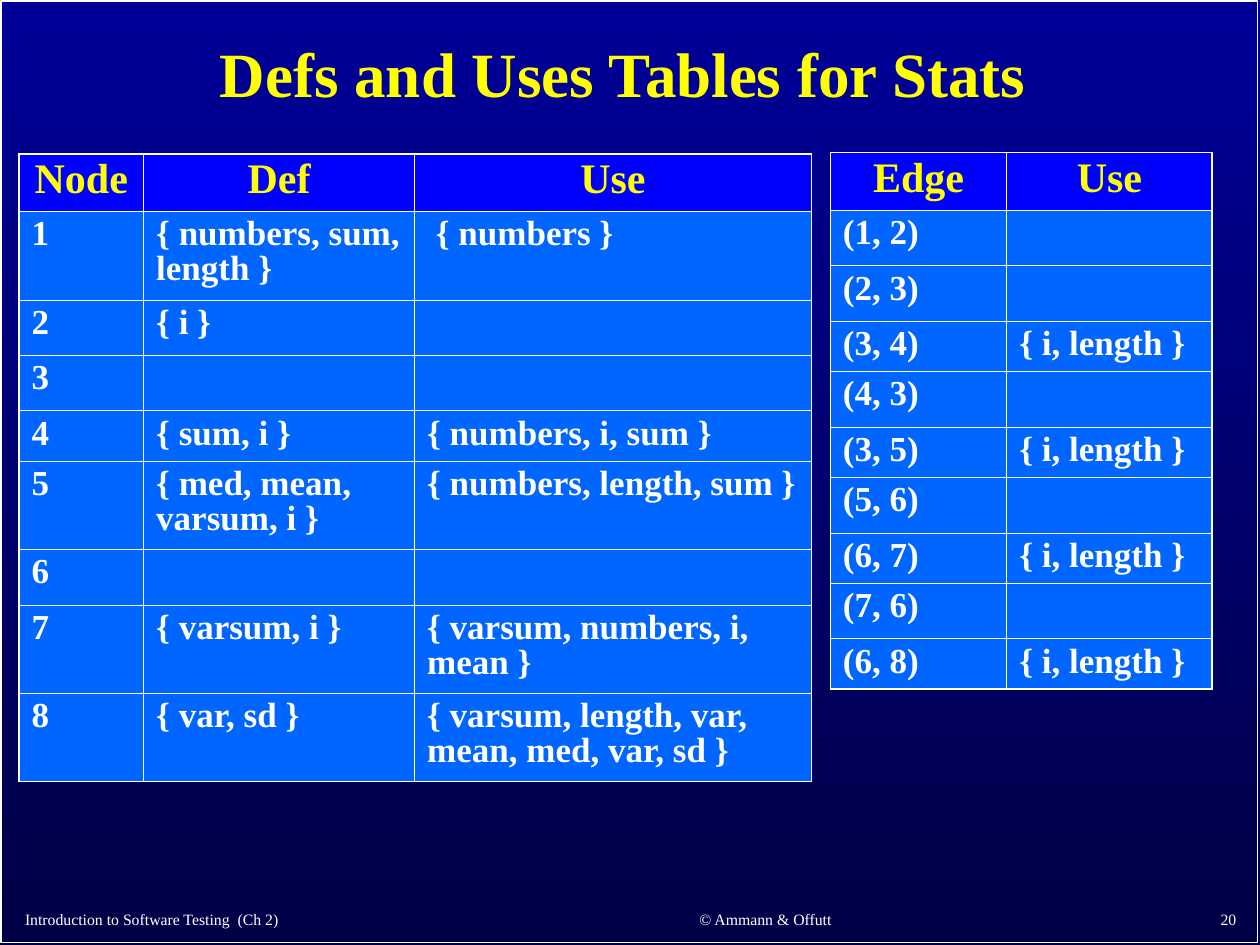
from lxml.etree import SubElement
from pptx import Presentation
from pptx.dml.color import RGBColor
from pptx.enum.shapes import MSO_SHAPE as Shape
from pptx.enum.text import MSO_ANCHOR as Anchor, MSO_AUTO_SIZE as AutoSize, PP_ALIGN as Align
from pptx.oxml.ns import qn
from pptx.util import Inches, Pt

WHITE = RGBColor(0xFF, 0xFF, 0xFF)
YELLOW = RGBColor(0xFF, 0xFF, 0x00)
HEADER_BLUE = RGBColor(0x00, 0x00, 0xFF)
CELL_BLUE = RGBColor(0x00, 0x66, 0xFF)
NIGHT_TOP = RGBColor(0x00, 0x00, 0x99)
NIGHT_BOTTOM = RGBColor(0x00, 0x00, 0x47)

TITLE = dict(size=Pt(36), bold=True, color=YELLOW)
HEADING = dict(size=Pt(24), bold=True, color=YELLOW)
ENTRY = dict(size=Pt(20), bold=True, color=WHITE)
FOOTER = dict(size=Pt(9), bold=False, color=WHITE)

NODE_ROWS = [
    ("Node", "Def", "Use"),
    ("1", "{ numbers, sum, length }", " { numbers }"),
    ("2", "{ i }", ""),
    ("3", "", ""),
    ("4", "{ sum, i }", "{ numbers, i, sum }"),
    ("5", "{ med, mean, varsum, i }", "{ numbers, length, sum }"),
    ("6", "", ""),
    ("7", "{ varsum, i }", "{ varsum, numbers, i, mean }"),
    ("8", "{ var, sd }", "{ varsum, length, var, mean, med, var, sd }"),
]
NODE_HEIGHTS = [0.46, 0.7, 0.44, 0.44, 0.4, 0.7, 0.44, 0.7, 0.7]

LOOP_USE = "{ i, length }"
EDGE_ROWS = [
    ("Edge", "Use"),
    ("(1, 2)", ""),
    ("(2, 3)", ""),
    ("(3, 4)", LOOP_USE),
    ("(4, 3)", ""),
    ("(3, 5)", LOOP_USE),
    ("(5, 6)", ""),
    ("(6, 7)", LOOP_USE),
    ("(7, 6)", ""),
    ("(6, 8)", LOOP_USE),
]
EDGE_HEIGHTS = [0.46] + [0.4 if use else 0.44 for _, use in EDGE_ROWS[1:]]


class DefUseSlide:
    """Draws the parts of one slide in a shared style."""

    font_name = "Times New Roman"
    outer_width, inner_width = Pt(1.08), Pt(0.45)

    def __init__(self, presentation):
        self.slide = presentation.slides.add_slide(presentation.slide_layouts[5])

    def background(self, top, bottom):
        fill = self.slide.background.fill
        fill.gradient()
        fill.gradient_angle = 270
        for stop, color in zip(fill.gradient_stops, (top, bottom)):
            stop.color.rgb = color

    def frame(self, left, top, width, height):
        border = self.slide.shapes.add_shape(
            Shape.RECTANGLE, Inches(left), Inches(top), Inches(width), Inches(height))
        border.shadow.inherit = False
        border.fill.background()
        border.line.color.rgb = WHITE
        border.line.width = Pt(1)

    def put_text(self, text_frame, text, style, align, spacing=1.0):
        text_frame.word_wrap = True
        paragraph = text_frame.paragraphs[0]
        paragraph.alignment = align
        paragraph.line_spacing = spacing
        run = paragraph.add_run()
        run.text = text
        run.font.name = self.font_name
        for attribute, value in style.items():
            if attribute == "color":
                run.font.color.rgb = value
            else:
                setattr(run.font, attribute, value)

    def title(self, text, left, top, width, height):
        heading = self.slide.shapes.title
        place = dict(left=left, top=top, width=width, height=height)
        for attribute, value in place.items():
            setattr(heading, attribute, Inches(value))
        heading.text_frame.auto_size = AutoSize.NONE
        heading.text_frame.vertical_anchor = Anchor.MIDDLE
        self.put_text(heading.text_frame, text, TITLE, Align.CENTER, 0.9)

    def footer(self, text, left, top, width, height, align):
        box = self.slide.shapes.add_textbox(
            Inches(left), Inches(top), Inches(width), Inches(height))
        box.text_frame.vertical_anchor = Anchor.BOTTOM
        self.put_text(box.text_frame, text, FOOTER, align)

    def borders(self, cell, outer_sides):
        properties = cell._tc.get_or_add_tcPr()
        for side, is_outer in outer_sides.items():
            width = self.outer_width if is_outer else self.inner_width
            line = SubElement(properties, qn(f"a:ln{side}"), w=str(int(width)))
            fill = SubElement(line, qn("a:solidFill"))
            SubElement(fill, qn("a:srgbClr"), val=str(WHITE))

    def table(self, rows, left, top, widths, heights):
        grid = self.slide.shapes.add_table(
            len(rows), len(widths), Inches(left), Inches(top),
            Inches(sum(widths)), Inches(sum(heights))).table
        grid.horz_banding = False
        for column, width in zip(grid.columns, widths):
            column.width = Inches(width)
        for row, height in zip(grid.rows, heights):
            row.height = Inches(height)
        for r, entries in enumerate(rows):
            is_header = r == 0
            style = HEADING if is_header else ENTRY
            align = Align.CENTER if is_header else Align.LEFT
            for c, entry in enumerate(entries):
                cell = grid.cell(r, c)
                self.borders(cell, dict(L=c == 0, R=c == len(widths) - 1,
                                        T=is_header, B=r == len(rows) - 1))
                cell.fill.solid()
                cell.fill.fore_color.rgb = HEADER_BLUE if is_header else CELL_BLUE
                if entry:
                    self.put_text(cell.text_frame, entry, style, align, 0.9)


def main():
    presentation = Presentation()
    presentation.slide_width = Inches(10)
    presentation.slide_height = Inches(7.5)
    page = DefUseSlide(presentation)
    page.background(NIGHT_TOP, NIGHT_BOTTOM)
    page.frame(0.01, 0.01, 9.97, 7.47)
    page.footer("Introduction to Software Testing  (Ch 2)", 0.1, 7.12, 4.11, 0.3, Align.LEFT)
    page.footer("© Ammann & Offutt", 4.49, 7.11, 3.17, 0.31, Align.CENTER)
    page.footer("20", 7.83, 7.1, 2.08, 0.32, Align.RIGHT)
    page.title("Defs and Uses Tables for Stats ", 0.08, 0.11, 9.85, 1)
    page.table(NODE_ROWS, 0.15, 1.22, [0.99, 2.15, 3.15], NODE_HEIGHTS)
    page.table(EDGE_ROWS, 6.59, 1.21, [1.4, 1.63], EDGE_HEIGHTS)
    presentation.save("out.pptx")


if __name__ == "__main__":
    main()
